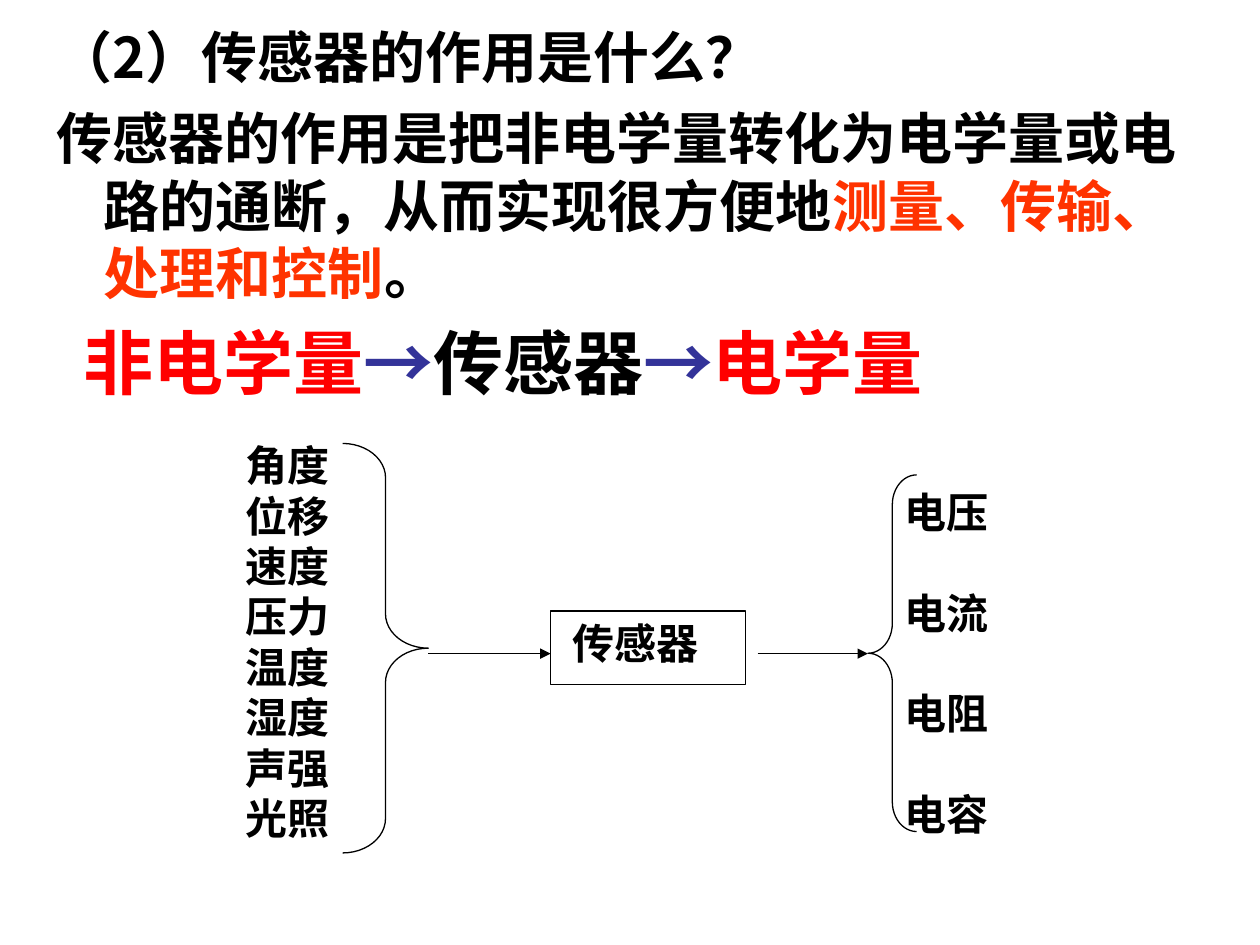
import pptx
import pptx.dml.color
import pptx.enum.shapes
import pptx.enum.text
import pptx.oxml
import pptx.oxml.ns
import pptx.util

Pt = pptx.util.Pt
SHAPE = pptx.enum.shapes.MSO_SHAPE
BLACK, RED, ORANGE, BLUE = "000000", "FF0000", "FF3300", "333399"
HEAD_FONT = ("Noto Sans CJK JP", "Noto Sans CJK JP")
LABEL_FONT = ("Times New Roman", "Noto Sans CJK SC")


def rgb(value):
    return pptx.dml.color.RGBColor.from_string(value)


def add_xml(parent, tag, **attrs):
    el = pptx.oxml.parse_xml(f"<a:{tag} {pptx.oxml.ns.nsdecls('a')}/>")
    for name, value in attrs.items():
        el.set(name, str(value))
    parent.append(el)


class Slide:
    line_width = 0.75
    line_color = BLACK
    pitch = 1.2  # line height as a multiple of the font size

    def __init__(self, prs):
        self.s = prs.slides.add_slide(prs.slide_layouts[6])

    def fill_frame(self, tf, paragraphs, size, fonts, before=0, hang=0):
        """Fill a frame; a paragraph is a list of (text, colour) runs."""
        latin, east_asian = fonts
        for i, runs in enumerate(paragraphs):
            p = tf.paragraphs[0] if i == 0 else tf.add_paragraph()
            p.alignment = pptx.enum.text.PP_ALIGN.LEFT
            p.line_spacing = Pt(size * self.pitch)
            if i:
                p.space_before = Pt(before)
            if hang:
                pPr = p._p.get_or_add_pPr()
                pPr.set("marL", str(Pt(hang)))
                pPr.set("indent", str(-Pt(hang)))
            p.font.size = Pt(size)
            p.font.bold = True
            p.font.name = latin
            add_xml(p.font._element, "ea", typeface=east_asian)
            for text, color in runs:
                r = p.add_run()
                r.text = text
                r.font.color.rgb = rgb(color)
                add_xml(r.font._element, "ea", typeface=east_asian)

    def text(self, x, y, w, h, paragraphs, size, fonts, wrap=True, **spacing):
        tf = self.s.shapes.add_textbox(Pt(x), Pt(y), Pt(w), Pt(h)).text_frame
        tf.word_wrap = wrap
        self.fill_frame(tf, paragraphs, size, fonts, **spacing)

    def labels(self, x, y, w, h, words, before=0):
        self.text(x, y, w, h, [[(word, BLACK)] for word in words],
                  24, LABEL_FONT, before=before)

    def outline(self, kind, x, y, w, h):
        sp = self.s.shapes.add_shape(kind, Pt(x), Pt(y), Pt(w), Pt(h))
        sp.shadow.inherit = False
        sp.fill.background()
        sp.line.color.rgb = rgb(self.line_color)
        sp.line.width = Pt(self.line_width)
        return sp

    def brace(self, kind, x, y, w, h, curve):
        self.outline(kind, x, y, w, h).adjustments[0] = curve

    def box(self, x, y, w, h, word, inset):
        tf = self.outline(SHAPE.RECTANGLE, x, y, w, h).text_frame
        tf.margin_left = Pt(inset)
        tf.vertical_anchor = pptx.enum.text.MSO_ANCHOR.TOP
        self.fill_frame(tf, [[(word, BLACK)]], 24, LABEL_FONT)

    def arrow(self, x1, x2, y):
        c = self.s.shapes.add_connector(
            pptx.enum.shapes.MSO_CONNECTOR.STRAIGHT, Pt(x1), Pt(y), Pt(x2), Pt(y))
        c.line.color.rgb = rgb(self.line_color)
        c.line.width = Pt(self.line_width)
        add_xml(c.line._get_or_add_ln(), "tailEnd", type="triangle")
        add_xml(c._element.spPr, "effectLst")


def main():
    prs = pptx.Presentation()
    prs.slide_width, prs.slide_height = Pt(720), Pt(540)
    slide = Slide(prs)

    slide.text(25.2, 9.4, 674.6, 175.7, [
        [("（2）传感器的作用是什么？", BLACK)],
        [("传感器的作用是把非电学量转化为电学量或电路的通断，从而实现很方便地", BLACK),
         ("测量、传输、处理和控制", ORANGE), ("。", BLACK)],
    ], 32, HEAD_FONT, before=8, hang=27)
    slide.text(40.7, 179.3, 524, 55.4, [
        [("非电学量", RED), ("→", BLUE), ("传感器", BLACK),
         ("→", BLUE), ("电学量", RED)],
    ], 40, HEAD_FONT, wrap=False)

    slide.labels(133.2, 247.7, 72.7, 237.6,
                 ["角度", "位移", "速度", "压力", "温度", "湿度", "声强", "光照"])
    slide.brace(SHAPE.RIGHT_BRACE, 195.8, 253.4, 49, 234, 0.4)
    axis = 373.5
    slide.arrow(244.8, 314.6, axis)
    slide.box(314.6, 349.2, 111.6, 41.8, "传感器", inset=12.8)
    slide.arrow(432.9, 496, axis)
    slide.brace(SHAPE.LEFT_BRACE, 496, 271.4, 27.8, 203.8, 0.61)
    slide.labels(510, 274.3, 65, 208.8,
                 ["电压", "电流", "电阻", "电容"], before=28.8)

    prs.save("out.pptx")


if __name__ == "__main__":
    main()
